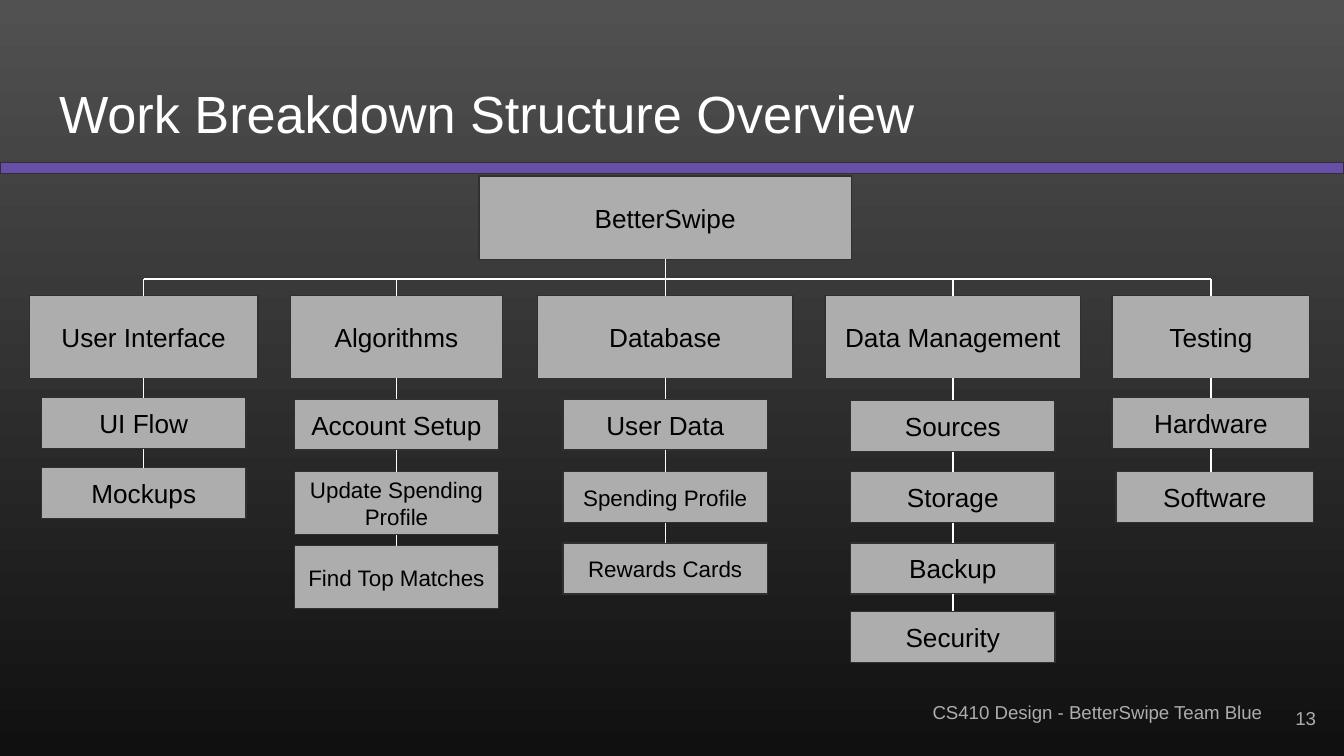
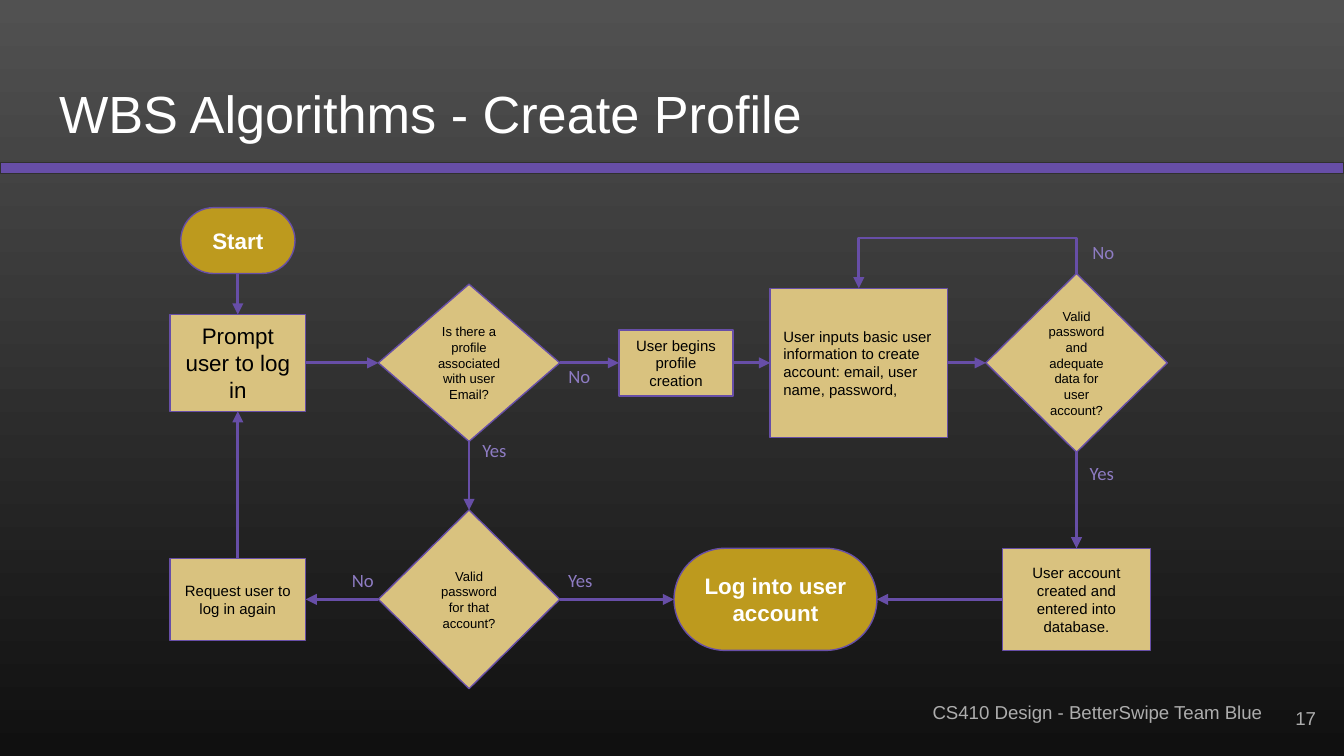
from dataclasses import dataclass

from lxml import etree
from pptx import Presentation
from pptx.dml.color import RGBColor
from pptx.enum.shapes import MSO_CONNECTOR, MSO_SHAPE
from pptx.enum.text import MSO_ANCHOR, MSO_AUTO_SIZE, PP_ALIGN
from pptx.oxml.ns import qn
from pptx.util import Inches, Pt

RECT, ROUND, DIAMOND = (MSO_SHAPE.RECTANGLE, MSO_SHAPE.ROUNDED_RECTANGLE,
                        MSO_SHAPE.FLOWCHART_DECISION)
STRAIGHT, ELBOW = MSO_CONNECTOR.STRAIGHT, MSO_CONNECTOR.ELBOW
LEFT, CENTER, RIGHT = PP_ALIGN.LEFT, PP_ALIGN.CENTER, PP_ALIGN.RIGHT
TOP, MIDDLE, BOTTOM = MSO_ANCHOR.TOP, MSO_ANCHOR.MIDDLE, MSO_ANCHOR.BOTTOM
GROW, FIXED = MSO_AUTO_SIZE.SHAPE_TO_FIT_TEXT, MSO_AUTO_SIZE.NONE
SIDE_TOP, SIDE_LEFT, SIDE_BOTTOM, SIDE_RIGHT = range(4)

# The grid has square cells, 100 columns by 56.25 rows
CELL = Inches(0.1)
COLUMNS, ROWS = 100, 56.25


@dataclass(frozen=True)
class Theme:
    font: str = "Arial"
    label_font: str = "Calibri"
    white: str = "FFFFFF"
    black: str = "000000"
    gray: str = "ADADAD"
    edge: str = "303030"
    purple: str = "674EA7"
    lilac: str = "8E7CC3"
    sand: str = "D9C27F"
    gold: str = "BD9A1E"
    back_top: str = "515151"
    back_bottom: str = "101010"
    title: int = 28
    heading: int = 14
    body: int = 12
    small: int = 10
    step: int = 8
    question: int = 7
    thin: float = 0.75
    thick: float = 1.5


THEME = Theme()


def cells(*lengths):
    return [round(length * CELL) for length in lengths]


def color(code):
    return RGBColor.from_string(code)


# Elements
def write(box, text, *, size, ink=THEME.white, font=THEME.font, bold=False,
          align=LEFT, anchor=TOP, fit=FIXED):
    frame = box.text_frame
    frame.word_wrap = True
    frame.auto_size = fit
    frame.vertical_anchor = anchor
    frame.margin_left = frame.margin_right = CELL
    frame.margin_top = frame.margin_bottom = CELL
    para = frame.paragraphs[0]
    para.alignment = align
    span = para.add_run()
    span.text = text
    span.font.name, span.font.size, span.font.bold = font, Pt(size), bold
    span.font.color.rgb = color(ink)


def add_box(page, kind, left, top, width, height, fill, edge):
    box = page.shapes.add_shape(kind, *cells(left, top, width, height))
    box.shadow.inherit = False
    box.fill.solid()
    box.fill.fore_color.rgb = color(fill)
    box.line.color.rgb = color(edge)
    box.line.width = Pt(THEME.thin)
    return box


def add_text(page, text, left, top, width, height, **style):
    box = page.shapes.add_textbox(*cells(left, top, width, height))
    write(box, text, **style)
    return box


def style_line(line, ink, weight, arrow=False):
    line.line.color.rgb = color(ink)
    line.line.width = Pt(weight)
    properties = line.element.spPr
    if arrow:
        etree.SubElement(properties.find(qn("a:ln")), qn("a:tailEnd"), type="triangle")
    etree.SubElement(properties, qn("a:effectLst"))


def add_line(page, *ends):
    line = page.shapes.add_connector(STRAIGHT, *cells(*ends))
    style_line(line, THEME.white, THEME.thin)
    return line


def add_arrow(page, start, start_side, end, end_side):
    arrow = page.shapes.add_connector(STRAIGHT, 0, 0, 0, 0)
    arrow.begin_connect(start, start_side)
    arrow.end_connect(end, end_side)
    style_line(arrow, THEME.purple, THEME.thick, arrow=True)


def add_loop(page, start, end, peak):
    """Arrow from the top of start, over the peak row, down to the top of end."""
    start_x, end_x = start.left + start.width // 2, end.left + end.width // 2
    rise, run = end.top - start.top, start_x - end_x
    left = (start_x + end_x - rise) // 2
    top = (start.top + end.top - run) // 2
    loop = page.shapes.add_connector(ELBOW, left, top, left + rise, top + run)
    properties = loop.element.spPr
    properties.find(qn("a:xfrm")).set("rot", str(90 * 60000))
    bend = round((peak * CELL - start.top) / rise * 100000)
    guides = properties.find(qn("a:prstGeom")).find(qn("a:avLst"))
    etree.SubElement(guides, qn("a:gd"), name="adj1", fmla=f"val {bend}")
    style_line(loop, THEME.purple, THEME.thick, arrow=True)


# Shared parts
def dress_layout(layout, page):
    """Give the layout its background, band and footer, drawn first on page."""
    fill = layout.background.fill
    fill.gradient()
    fill.gradient_angle = 270
    for stop, code in zip(fill.gradient_stops, (THEME.back_top, THEME.back_bottom)):
        stop.color.rgb = color(code)
    band = add_box(page, RECT, 0, 12.1, COLUMNS, 0.8, THEME.purple, THEME.edge)
    footer = add_text(page, "CS410 Design - BetterSwipe Team Blue", 68.4, 51.3, 33.2, 3.7,
                      size=THEME.small, ink=THEME.gray, fit=GROW)
    for number, shape in enumerate((band, footer), start=100):
        shape.element.nvSpPr.cNvPr.set("id", str(number))
        layout.shapes.element.append(shape.element)


def set_title(page, text, number):
    title = page.shapes.title
    title.left, title.top, title.width, title.height = cells(3.4, 4.9, 93.2, 6.8)
    write(title, text, size=THEME.title, anchor=BOTTOM)
    add_text(page, number, 92.9, 51.3, 6, 4.3, size=THEME.small, ink=THEME.gray,
             align=RIGHT, anchor=MIDDLE)


# Work breakdown tree
HEAD_TOP, HEAD_HEIGHT, SPINE = 22, 6.15, 20.75
ROOT_AXIS = 49.5
ITEM_WIDTH, ITEM_HEIGHT, TALL_HEIGHT = 15.2, 3.8, 4.7
# Heading, axis, heading width, item width, items (text, top, height, size, shift)
BRANCHES = [
    ("User Interface", 10.7, 17, ITEM_WIDTH, [
        ("UI Flow", 29.6, ITEM_HEIGHT, THEME.heading, 0),
        ("Mockups", 34.8, ITEM_HEIGHT, THEME.heading, 0)]),
    ("Algorithms", 29.5, 15.8, ITEM_WIDTH, [
        ("Account Setup", 29.7, ITEM_HEIGHT, THEME.heading, 0),
        ("Update Spending Profile", 35.1, TALL_HEIGHT, THEME.body, 0),
        ("Find Top Matches", 40.6, TALL_HEIGHT, THEME.body, 0)]),
    ("Database", ROOT_AXIS, 19, ITEM_WIDTH, [
        ("User Data", 29.7, ITEM_HEIGHT, THEME.heading, 0),
        ("Spending Profile", 35.1, ITEM_HEIGHT, THEME.body, 0),
        ("Rewards Cards", 40.4, ITEM_HEIGHT, THEME.body, 0)]),
    ("Data Management", 70.9, 19, ITEM_WIDTH, [
        ("Sources", 29.8, ITEM_HEIGHT, THEME.heading, 0),
        ("Storage", 35.1, ITEM_HEIGHT, THEME.heading, 0),
        ("Backup", 40.4, ITEM_HEIGHT, THEME.heading, 0),
        ("Security", 45.5, ITEM_HEIGHT, THEME.heading, 0)]),
    ("Testing", 90.1, 14.7, 14.7, [
        ("Hardware", 29.6, ITEM_HEIGHT, THEME.heading, 0),
        ("Software", 35.1, ITEM_HEIGHT, THEME.heading, 0.3)]),
]


def add_work(page, text, axis, top, width, height, size=THEME.heading):
    box = add_box(page, RECT, axis - width / 2, top, width, height, THEME.gray, THEME.edge)
    write(box, text, size=size, ink=THEME.black, align=CENTER, anchor=MIDDLE)
    return box


def add_branch(page, heading, axis, width, item_width, items):
    above = add_work(page, heading, axis, HEAD_TOP, width, HEAD_HEIGHT)
    add_line(page, axis, SPINE, axis, HEAD_TOP).end_connect(above, SIDE_TOP)
    bottom = HEAD_TOP + HEAD_HEIGHT
    for text, top, height, size, shift in items:
        item = add_work(page, text, axis + shift, top, item_width, height, size)
        line = add_line(page, axis, bottom, axis, top)
        line.begin_connect(above, SIDE_BOTTOM)
        if not shift:
            line.end_connect(item, SIDE_TOP)
        above, bottom = item, top + height


def build_tree(page):
    set_title(page, "Work Breakdown Structure Overview", "13")
    root = add_work(page, "BetterSwipe", ROOT_AXIS, 13.1, 27.7, 6.2)
    stem = add_line(page, ROOT_AXIS, 19.3, ROOT_AXIS, SPINE)
    stem.begin_connect(root, SIDE_BOTTOM)
    add_line(page, BRANCHES[0][1], SPINE, BRANCHES[-1][1], SPINE)
    for branch in BRANCHES:
        add_branch(page, *branch)


# Profile flowchart
LOGIN_X, CHECK_X, BEGIN_X, DONE_X, INPUT_X, VALID_X = 17.7, 34.9, 50.3, 57.7, 63.9, 80.1
START_Y, UPPER_Y, LOWER_Y = 17.9, 27, 44.6


def add_node(page, kind, text, middle_x, middle_y, width, height, size,
             align=CENTER, final=False):
    fill, ink = (THEME.gold, THEME.white) if final else (THEME.sand, THEME.black)
    node = add_box(page, kind, middle_x - width / 2, middle_y - height / 2,
                   width, height, fill, THEME.purple)
    if kind == ROUND:
        node.adjustments[0] = 0.5 if final else 0
    write(node, text, size=size, ink=ink, bold=final, align=align, anchor=MIDDLE)
    return node


def build_flow(page):
    set_title(page, "WBS Algorithms - Create Profile", "17")

    # Steps
    start = add_node(page, ROUND, "Start", LOGIN_X, START_Y, 8.5, 4.9,
                     THEME.body, final=True)
    prompt = add_node(page, ROUND, "Prompt user to log in", LOGIN_X, UPPER_Y,
                      10.1, 7.2, THEME.body)
    known = add_node(page, DIAMOND, "Is there a profile associated with user Email?",
                     CHECK_X, UPPER_Y, 13.5, 11.7, THEME.question)
    begin = add_node(page, ROUND, "User begins profile creation", BEGIN_X, UPPER_Y,
                     8.5, 4.9, THEME.step)
    inputs = add_node(page, ROUND, "User inputs basic user information to create account: "
                      "email, user name, password,", INPUT_X, UPPER_Y,
                      13.2, 11.1, THEME.step, align=LEFT)
    adequate = add_node(page, DIAMOND, "Valid password and adequate data for user account?",
                        VALID_X, UPPER_Y, 13.5, 13.3, THEME.question)
    again = add_node(page, ROUND, "Request user to log in again", LOGIN_X, LOWER_Y,
                     10.1, 6.1, THEME.step)
    password = add_node(page, DIAMOND, "Valid password for that account?", CHECK_X, LOWER_Y,
                        13.5, 13.3, THEME.question)
    done = add_node(page, ROUND, "Log into user account", DONE_X, LOWER_Y, 15.1, 7.6,
                    THEME.body, final=True)
    created = add_node(page, ROUND, "User account created and entered into database.",
                       VALID_X, LOWER_Y, 11, 7.6, THEME.step)

    # Arrows
    for first, second in ((prompt, known), (known, begin), (begin, inputs),
                          (inputs, adequate), (password, done)):
        add_arrow(page, first, SIDE_RIGHT, second, SIDE_LEFT)
    for first, second in ((password, again), (created, done)):
        add_arrow(page, first, SIDE_LEFT, second, SIDE_RIGHT)
    for first, second in ((start, prompt), (known, password), (adequate, created)):
        add_arrow(page, first, SIDE_BOTTOM, second, SIDE_TOP)
    add_arrow(page, again, SIDE_TOP, prompt, SIDE_BOTTOM)
    add_loop(page, adequate, inputs, 17.7)

    # Answers
    for text, width, places in (
            ("Yes", 7.3, [(34.9, 31.8), (80.1, 33.5), (41.3, 41.5)]),
            ("No", 5.1, [(41.3, 26.3), (80.3, 17.1), (25.2, 41.5)])):
        for left, top in places:
            add_text(page, text, left, top, width, 3.7, size=THEME.small,
                     ink=THEME.lilac, font=THEME.label_font, fit=GROW)


def main():
    deck = Presentation()
    deck.slide_width, deck.slide_height = cells(COLUMNS, ROWS)
    layout = deck.slide_layouts.get_by_name("Title Only")
    tree, flow = [deck.slides.add_slide(layout) for _ in range(2)]
    dress_layout(layout, tree)
    build_tree(tree)
    build_flow(flow)
    deck.save("out.pptx")


if __name__ == "__main__":
    main()
